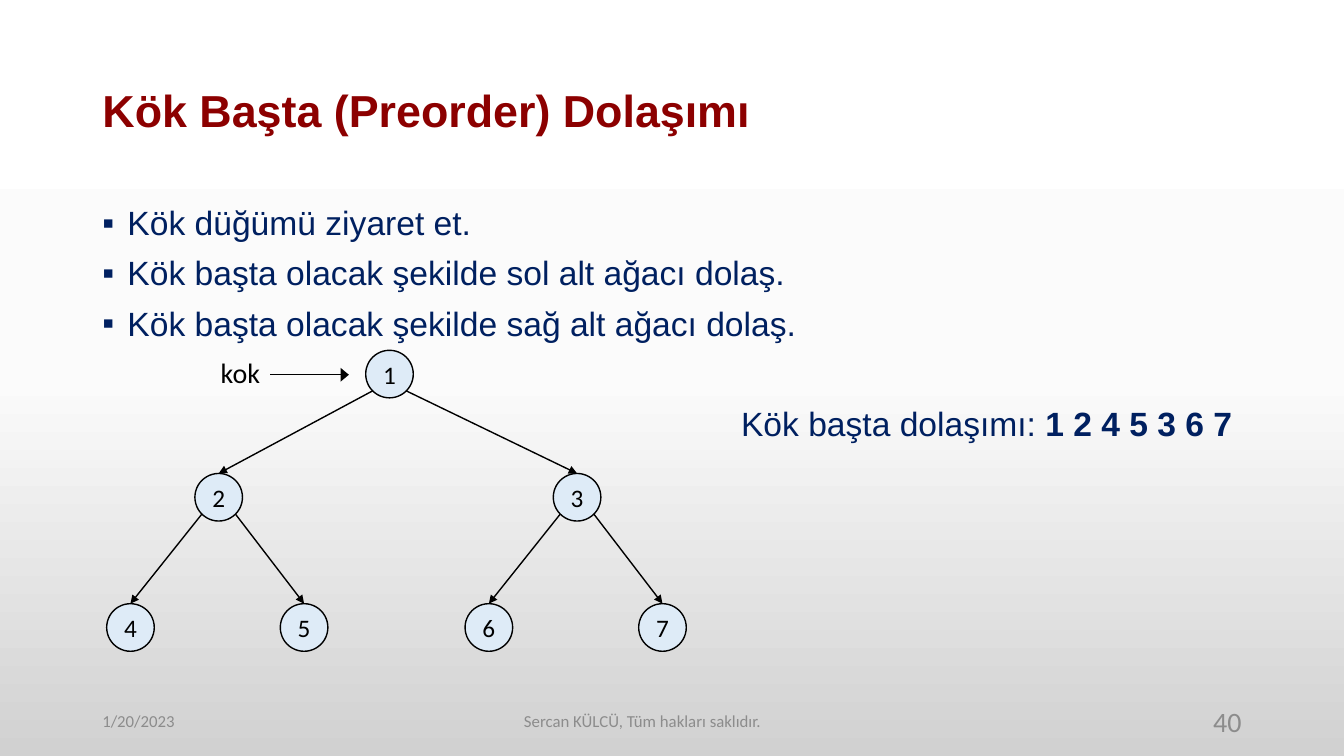
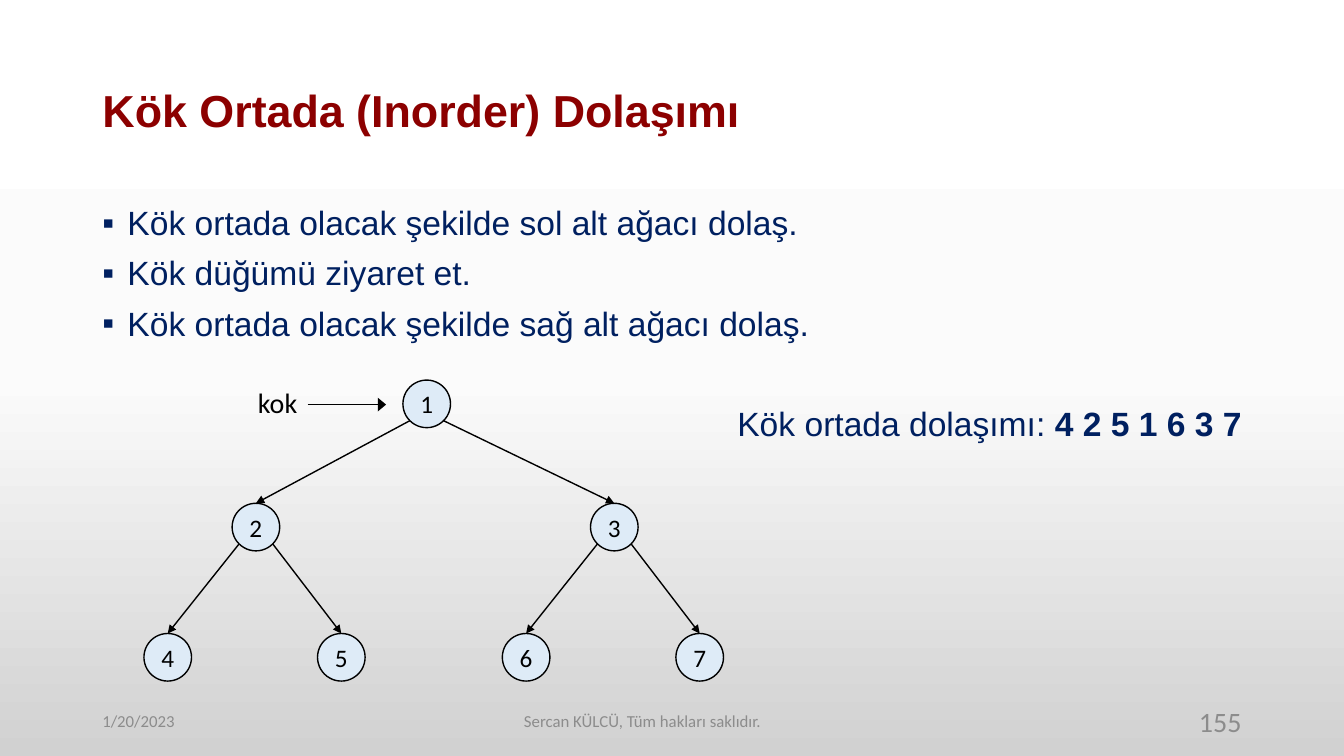
from lxml import etree
from pptx import Presentation
from pptx import util as u
from pptx.dml.color import RGBColor
from pptx.enum import shapes, text
from pptx.oxml.ns import qn

Pt = u.Pt
ALIGN = text.PP_ALIGN
ANCHOR = text.MSO_ANCHOR

COLORS = {
    "title": "8C0000", "body": "002060", "footer": "8C8C8C",
    "ink": "000000", "node": "DEEBF7",
}
BACKGROUND_STOPS = [(0, "FFFFFF"), (50, "FBFBFB"), (100, "D1D1D1")]

MARGIN, CONTENT_WIDTH = 66, 828
NODE_SIZE = 34
DIAGONAL = 12  # offset from a node's centre to its lower corners
TREE_OFFSETS = {  # node: (parent, dx, dy) between centres
    2: (1, -122, 88), 3: (1, 134, 88),
    4: (2, -63, 93), 5: (2, 61, 93),
    6: (3, -63, 93), 7: (3, 61, 93),
}


def rgb(name):
    return RGBColor.from_string(COLORS[name])


def write(paragraph, content, size=24, color="body", font="Arial",
          bold=False, align=ALIGN.LEFT, spacing=None):
    """Add a formatted run to the paragraph."""
    paragraph.alignment = align
    if spacing:
        paragraph.line_spacing = spacing
    run = paragraph.add_run()
    run.text = content
    run.font.size = Pt(size)
    run.font.name = font
    run.font.bold = bold
    run.font.color.rgb = rgb(color)


def add_bullet(paragraph):
    properties = paragraph._p.get_or_add_pPr()
    properties.set("marL", str(Pt(18)))
    properties.set("indent", str(-Pt(18)))
    etree.SubElement(properties, qn("a:buFont")).set("typeface", "Arial")
    etree.SubElement(properties, qn("a:buChar")).set("char", "▪")


class Deck:
    def __init__(self):
        self.presentation = Presentation()
        self.presentation.slide_width = Pt(960)
        self.presentation.slide_height = Pt(540)
        self.slide = None
        self.paint_background()

    def paint_background(self):
        """Give the master a vertical gradient."""
        master = self.presentation.slide_master
        fill = master.background.fill
        fill.gradient()
        fill.gradient_angle = 270
        stops = next(master._element.iter(qn("a:gsLst")))
        for stop in list(stops):
            stops.remove(stop)
        for position, color in BACKGROUND_STOPS:
            stop = etree.SubElement(stops, qn("a:gs"))
            stop.set("pos", str(position * 1000))
            etree.SubElement(stop, qn("a:srgbClr")).set("val", color)

    def start_slide(self, title, number):
        layout = self.presentation.slide_layouts[5]
        self.slide = self.presentation.slides.add_slide(layout)
        heading = self.slide.shapes.title
        heading.left, heading.top = Pt(MARGIN), Pt(29)
        heading.width, heading.height = Pt(CONTENT_WIDTH), Pt(104)
        heading.text_frame.vertical_anchor = ANCHOR.MIDDLE
        write(heading.text_frame.paragraphs[0], title, size=32,
              color="title", bold=True, spacing=0.9)
        footers = [
            (MARGIN, 216, "1/20/2023", 12, ALIGN.LEFT),
            (186, 546, "Sercan KÜLCÜ, Tüm hakları saklıdır.", 12, ALIGN.CENTER),
            (678, 216, str(number), 20, ALIGN.RIGHT),
        ]
        for left, width, content, size, align in footers:
            frame = self.text_box(left, 500.5, width, 29, anchor=ANCHOR.MIDDLE)
            write(frame.paragraphs[0], content, size=size, color="footer",
                  font="Calibri", align=align)

    def text_box(self, left, top, width, height, anchor=ANCHOR.TOP, wrap=True):
        box = self.slide.shapes.add_textbox(
            Pt(left), Pt(top), Pt(width), Pt(height))
        box.text_frame.word_wrap = wrap
        box.text_frame.vertical_anchor = anchor
        return box.text_frame

    def steps(self, items):
        frame = self.text_box(MARGIN, 144, CONTENT_WIDTH, 112)
        for index, item in enumerate(items):
            paragraph = frame.add_paragraph() if index else frame.paragraphs[0]
            add_bullet(paragraph)
            if index:
                paragraph.space_before = Pt(10)
            write(paragraph, item, align=ALIGN.JUSTIFY, spacing=0.9)

    def result(self, label, order):
        frame = self.text_box(MARGIN, 287.5, CONTENT_WIDTH, 34)
        for content, bold in ((label, False), (order, True)):
            write(frame.paragraphs[0], content, bold=bold,
                  align=ALIGN.RIGHT, spacing=0.9)

    def node(self, label, x, y):
        """Draw a tree node centred on x, y."""
        circle = self.slide.shapes.add_shape(
            shapes.MSO_SHAPE.OVAL, Pt(x - NODE_SIZE / 2),
            Pt(y - NODE_SIZE / 2), Pt(NODE_SIZE), Pt(NODE_SIZE))
        circle.shadow.inherit = False
        circle.fill.solid()
        circle.fill.fore_color.rgb = rgb("node")
        circle.line.color.rgb = rgb("ink")
        circle.line.width = Pt(1)
        frame = circle.text_frame
        frame.margin_left = frame.margin_right = 0
        frame.margin_top = frame.margin_bottom = 0
        frame.vertical_anchor = ANCHOR.MIDDLE
        write(frame.paragraphs[0], str(label), size=18, color="ink",
              font="Calibri", align=ALIGN.CENTER)
        return circle

    def arrow(self, start, end, head_width="med"):
        line = self.slide.shapes.add_connector(
            shapes.MSO_CONNECTOR.STRAIGHT, *map(Pt, (*start, *end)))
        line.line.color.rgb = rgb("ink")
        line.line.width = Pt(1)
        properties = line._element.spPr
        head = etree.SubElement(properties.find(qn("a:ln")), qn("a:tailEnd"))
        head.set("type", "triangle")
        head.set("w", head_width)
        head.set("len", "med")
        etree.SubElement(properties, qn("a:effectLst"))
        return line

    def tree(self, x, y):
        """Draw the seven-node tree with its root centred on x, y."""
        centres = {1: (x, y)}
        self.node(1, x, y)
        for label, (parent, dx, dy) in TREE_OFFSETS.items():
            parent_x, parent_y = centres[parent]
            centres[label] = child_x, child_y = parent_x + dx, parent_y + dy
            child = self.node(label, child_x, child_y)
            side = DIAGONAL if dx > 0 else -DIAGONAL
            edge = self.arrow((parent_x + side, parent_y + DIAGONAL),
                              (child_x, child_y - NODE_SIZE / 2))
            edge.end_connect(child, 0)
        frame = self.text_box(x - 128, y - 17, 43, 32, wrap=False)
        write(frame.paragraphs[0], "kok", size=20, color="ink",
              font="Calibri", align=ALIGN.CENTER)
        self.arrow((x - 85, y + 0.5), (x - 29, y + 0.5), head_width="lg")


TRAVERSALS = [
    {
        "title": "Kök Başta (Preorder) Dolaşımı", "number": 40,
        "steps": ["Kök düğümü ziyaret et.",
                  "Kök başta olacak şekilde sol alt ağacı dolaş.",
                  "Kök başta olacak şekilde sağ alt ağacı dolaş."],
        "result": ("Kök başta dolaşımı: ", "1 2 4 5 3 6 7 "),
        "root": (278.2, 267.2),
    },
    {
        "title": "Kök Ortada (Inorder) Dolaşımı", "number": 155,
        "steps": ["Kök ortada olacak şekilde sol alt ağacı dolaş.",
                  "Kök düğümü ziyaret et.",
                  "Kök ortada olacak şekilde sağ alt ağacı dolaş."],
        "result": ("Kök ortada dolaşımı: ", "4 2 5 1 6 3 7"),
        "root": (304.8, 288.5),
    },
]


def main():
    deck = Deck()
    for traversal in TRAVERSALS:
        deck.start_slide(traversal["title"], traversal["number"])
        deck.steps(traversal["steps"])
        deck.result(*traversal["result"])
        deck.tree(*traversal["root"])
    deck.presentation.save("out.pptx")


if __name__ == "__main__":
    main()
